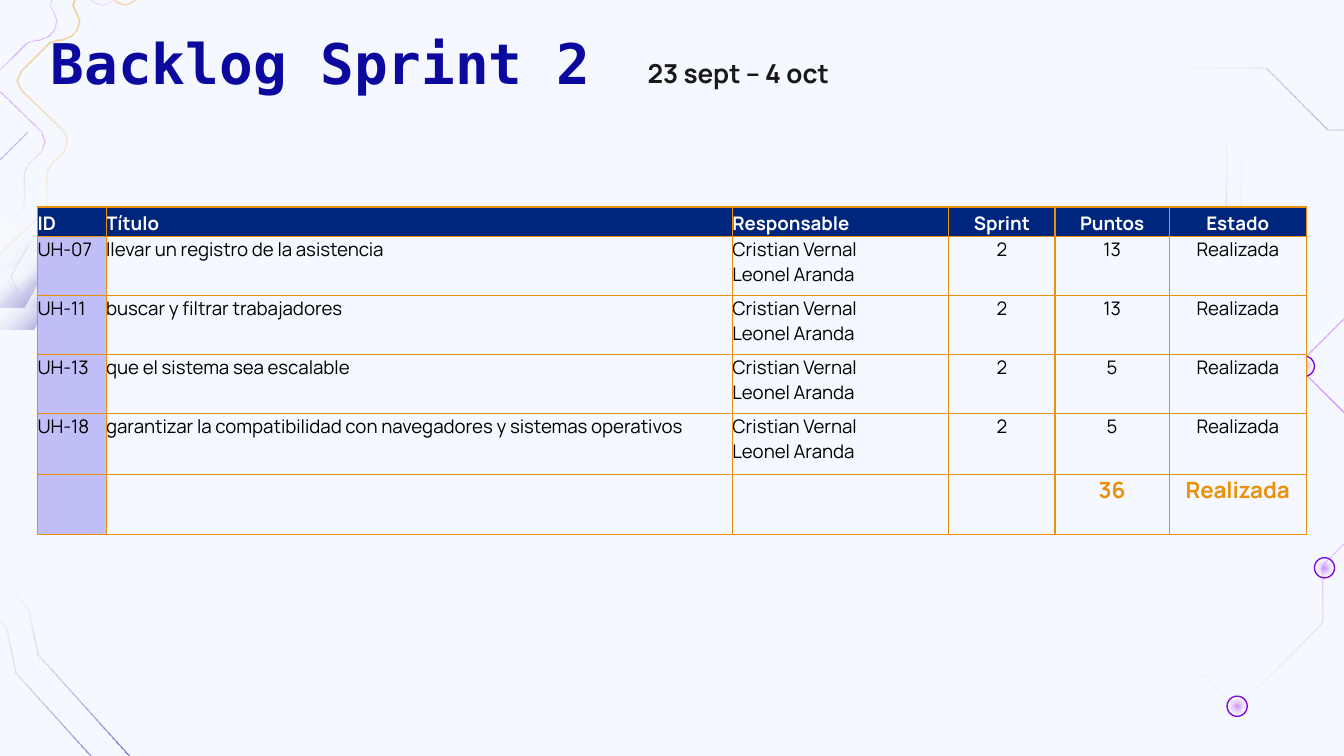
from math import hypot
from lxml.etree import SubElement
from pptx import Presentation
from pptx.dml.color import RGBColor
from pptx.enum.shapes import MSO_SHAPE
from pptx.enum.text import MSO_ANCHOR, PP_ALIGN
from pptx.oxml.ns import qn
from pptx.util import Inches, Pt

PAPER, NAVY, LILAC, ORANGE = "F5F8FF", "00257D", "BFBEF7", "EB9109"
INK, VIOLET = "0C0A9E", "8208D5"
CLEAR = (100, "FFFFFF", 0)
INK_FADE = [(0, INK, 100), CLEAR]
VIOLET_FADE = [(0, "9900FF", 45), CLEAR]
ORANGE_FADE = [(0, ORANGE, 100), (40, "FF9900", 40), CLEAR]
SOFT_FADE = [(0, INK, 36), CLEAR]
HEXAGON_FADE = [(0, PAPER, 100), (22, PAPER, 100), (45, "FFFFFF", 0), (100, INK, 49)]

HEADINGS = ["ID", "Título", "Responsable", "Sprint", "Puntos", "Estado"]
TEAM = "Cristian Vernal\nLeonel Aranda"
STORIES = [
    ("UH-07", "llevar un registro de la asistencia", 13),
    ("UH-11", "buscar y filtrar trabajadores", 13),
    ("UH-13", "que el sistema sea escalable", 5),
    ("UH-18", "garantizar la compatibilidad con navegadores y sistemas operativos", 5),
]


def color(value):
    return RGBColor.from_string(value)


def write(frame, text, size=10, font="Manrope", ink="000000", bold=False, align=PP_ALIGN.LEFT, spacing=None):
    frame.word_wrap = True
    for index, line in enumerate(text.split("\n")):
        para = frame.add_paragraph() if index else frame.paragraphs[0]
        para.alignment = align
        if spacing:
            para.line_spacing = spacing
        span = para.add_run()
        span.text = line
        span.font.size = Pt(size)
        span.font.name = font
        span.font.bold = bold
        span.font.color.rgb = color(ink)


def add_text(page, left, top, width, height, text, **style):
    box = page.shapes.add_textbox(Inches(left), Inches(top), Inches(width), Inches(height))
    frame = box.text_frame
    frame.margin_left = frame.margin_right = frame.margin_top = frame.margin_bottom = Inches(0.1)
    write(frame, text, **style)


def fade(shape, stops, angle=None):
    shape.shadow.inherit = False
    shape.line.fill.background()
    shape.fill.background()
    properties = shape.element.spPr
    blank = properties.find(qn("a:noFill"))
    gradient = SubElement(properties, qn("a:gradFill"), rotWithShape="1")
    properties.replace(blank, gradient)
    listing = SubElement(gradient, qn("a:gsLst"))
    for position, tint, opacity in stops:
        stop = SubElement(listing, qn("a:gs"), pos=str(position * 1000))
        shade = SubElement(stop, qn("a:srgbClr"), val=tint)
        SubElement(shade, qn("a:alpha"), val=str(opacity * 1000))
    if angle is None:
        circle = SubElement(gradient, qn("a:path"), path="circle")
        SubElement(circle, qn("a:fillToRect"), l="50000", t="50000", r="50000", b="50000")
    else:
        SubElement(gradient, qn("a:lin"), ang=str(round(angle * 60000)), scaled="0")


def add_outline(group, left, top, points, stops, angle=None):
    corners = [(Inches(left + x), Inches(top + y)) for x, y in points]
    builder = group.shapes.build_freeform(*corners[0], scale=1.0)
    builder.add_line_segments(corners[1:], close=True)
    fade(builder.convert_to_shape(), stops, angle)


def add_trace(group, left, top, points, stops, angle=None, width=0.01):
    normals = []
    for (x1, y1), (x2, y2) in zip(points, points[1:]):
        length = hypot(x2 - x1, y2 - y1)
        normals.append(((y1 - y2) / length, (x2 - x1) / length))
    near, far = [], []
    for (x, y), (ax, ay), (bx, by) in zip(points, normals[:1] + normals, normals + normals[-1:]):
        reach = width / 2 / (1 + ax * bx + ay * by)
        dx, dy = (ax + bx) * reach, (ay + by) * reach
        near.append((x + dx, y + dy))
        far.append((x - dx, y - dy))
    add_outline(group, left, top, near + far[::-1], stops, angle)


def add_node(group, left, top):
    ring = group.shapes.add_shape(MSO_SHAPE.OVAL, Inches(left), Inches(top), Inches(0.15), Inches(0.15))
    ring.shadow.inherit = False
    ring.fill.background()
    ring.line.color.rgb = color(VIOLET)
    ring.line.width = Pt(0.75)
    core = group.shapes.add_shape(
        MSO_SHAPE.OVAL, Inches(left + 0.02), Inches(top + 0.02), Inches(0.11), Inches(0.11))
    fade(core, VIOLET_FADE)


def draw_right_circuit(page, left, top):
    group = page.shapes.add_group_shape()
    stair = [(0.25, 3.69), (0.66, 3.28), (0.66, 2.22), (1.12, 1.76),
             (1.12, 0.98), (1.37, 0.73), (1.79, 0.73), (1.79, 0.59)]
    for dx, dy in [(0.11, 0.22), (0, 0)]:
        add_trace(group, left + dx, top + dy, stair, INK_FADE, 270)
    branch = [(3.35, 1.36), (2.94, 0.96), (1.88, 0.96), (1.42, 0.5),
              (0.64, 0.5), (0.38, 0.25), (0.38, -0.18), (0.25, -0.18)]
    add_trace(group, left, top, branch, INK_FADE, 180)
    zigzag = [(4.07, 0.3), (3.48, 0.9), (3.46, 0.93), (3.48, 0.96), (3.77, 1.25), (3.78, 1.27),
              (3.77, 1.3), (2.73, 2.34), (2.7, 2.36), (2.67, 2.34), (2.38, 2.05), (2.35, 2.04),
              (2.32, 2.05), (1.68, 2.69), (1.67, 2.72), (1.68, 2.75), (2.46, 3.53), (2.48, 3.55),
              (2.46, 3.58), (1.85, 4.19), (1.84, 4.22), (1.84, 4.61), (1.83, 4.64), (1.23, 5.24),
              (1.2, 5.25), (1.18, 5.24), (0.97, 5.03), (0.94, 5.02), (0.91, 5.03), (0.65, 5.29),
              (0.64, 5.32), (0.65, 5.35), (0.86, 5.55), (0.88, 5.58), (0.86, 5.61), (0.78, 5.69),
              (0.77, 5.72), (0.78, 5.75), (0.86, 5.83), (0.87, 5.85), (0.84, 5.88), (0.8, 5.83)]
    add_trace(group, left, top, zigzag, VIOLET_FADE)
    for x, y in [(1.13, 5.18), (1.78, 4.15), (1.63, 2.65)]:
        add_node(group, left + x, top + y)


def draw_lower_circuit(page, left, top):
    group = page.shapes.add_group_shape()
    bend = [(1.18, 2.25), (1.1, 1.78), (0.28, 0.87), (0.21, 0.53), (-0.15, 0.13)]
    for dx, dy in [(0, 0), (-0.16, 0.14)]:
        add_trace(group, left + dx, top + dy, bend, INK_FADE, 227.8)


def draw_upper_circuit(page, left, top):
    group = page.shapes.add_group_shape()
    for x, y, width, height, inset in [
        (-0.38, 1.65, 0.74, 0.64, 0.18),
        (-0.15, 1.99, 0.53, 0.46, 0.13),
        (0.09, 1.83, 0.53, 0.46, 0.13),
    ]:
        hexagon = [(width - inset, height), (width, height / 2), (width - inset, 0),
                   (inset, 0), (0, height / 2), (inset, height)]
        add_outline(group, left + x, top + y, hexagon, HEXAGON_FADE, 45)
    wave = [(0.58, -0.63), (1.05, -0.16), (1.06, -0.1), (1.05, -0.04), (0.98, 0.02), (0.93, 0.04),
            (0.87, 0.02), (0.76, -0.09), (0.69, -0.11), (0.63, -0.09), (0.57, -0.03), (0.54, 0.04),
            (0.57, 0.1), (0.59, 0.16), (0.57, 0.23), (0.53, 0.27), (0.46, 0.3), (0.43, 0.3),
            (0.37, 0.32), (0.16, 0.53), (0.13, 0.6), (0.16, 0.67), (0.48, 0.98), (0.5, 1.05),
            (0.48, 1.12), (0.38, 1.22), (0.35, 1.28), (0.35, 1.51), (0.33, 1.57), (0, 1.89)]
    add_trace(group, left, top, wave, ORANGE_FADE, 45)
    add_trace(group, left - 0.17, top, wave, VIOLET_FADE)
    hook = [(0.2, 0.98), (-0.1, 1.28), (-0.1, 0.71), (-0.32, 0.71), (-0.32, 0.19)]
    add_trace(group, left, top, hook, SOFT_FADE, 225)


def draw_header(page, left, top):
    add_text(page, left, top, 8.43, 0.63, "Backlog Sprint 2",
             size=30, font="DejaVu Sans Mono", ink=INK, bold=True)
    add_text(page, left + 4.44, top + 0.18, 2.73, 0.44, "23 sept – 4 oct",
             size=14, ink="191919", bold=True, spacing=1.15)


def add_borders(cell):
    properties = cell._tc.get_or_add_tcPr()
    for index, side in enumerate(["a:lnL", "a:lnR", "a:lnT", "a:lnB"]):
        border = SubElement(properties, qn(side), w=str(Pt(0.75)))
        SubElement(SubElement(border, qn("a:solidFill")), qn("a:srgbClr"), val=ORANGE)
        properties.insert(index, border)


def draw_backlog(page, left, top):
    widths = [0.51, 4.66, 1.61, 0.79, 0.85, 1.02]
    heights = [0.22] + [0.44] * 3 + [0.45] * 2
    rows = [HEADINGS]
    rows += [[code, title, TEAM, "2", str(points), "Realizada"] for code, title, points in STORIES]
    rows.append(["", "", "", "", str(sum(story[2] for story in STORIES)), "Realizada"])
    table = page.shapes.add_table(
        len(rows), len(widths), Inches(left), Inches(top), Inches(sum(widths)), Inches(sum(heights))).table
    for column, width in zip(table.columns, widths):
        column.width = Inches(width)
    styles = {0: dict(ink="FFFFFF", bold=True), len(rows) - 1: dict(size=12, ink=ORANGE, bold=True)}
    for r, values in enumerate(rows):
        table.rows[r].height = Inches(heights[r])
        for c, text in enumerate(values):
            cell = table.cell(r, c)
            cell.margin_left = cell.margin_right = cell.margin_top = cell.margin_bottom = 0
            cell.vertical_anchor = MSO_ANCHOR.TOP if r else MSO_ANCHOR.BOTTOM
            cell.fill.solid()
            cell.fill.fore_color.rgb = color(NAVY if r == 0 else PAPER if c else LILAC)
            add_borders(cell)
            if text:
                align = PP_ALIGN.CENTER if c > 2 else PP_ALIGN.LEFT
                write(cell.text_frame, text, align=align, **styles.get(r, {}))


def main():
    deck = Presentation()
    deck.slide_width = Inches(10)
    deck.slide_height = deck.slide_width * 9 // 16
    page = deck.slides.add_slide(deck.slide_layouts[6])
    page.background.fill.solid()
    page.background.fill.fore_color.rgb = color(PAPER)
    draw_right_circuit(page, 8, 0)
    draw_lower_circuit(page, 0, 4)
    draw_upper_circuit(page, 0, 0)
    draw_header(page, 0.28, 0.11)
    draw_backlog(page, 0.28, 1.54)
    deck.save("out.pptx")


if __name__ == "__main__":
    main()
